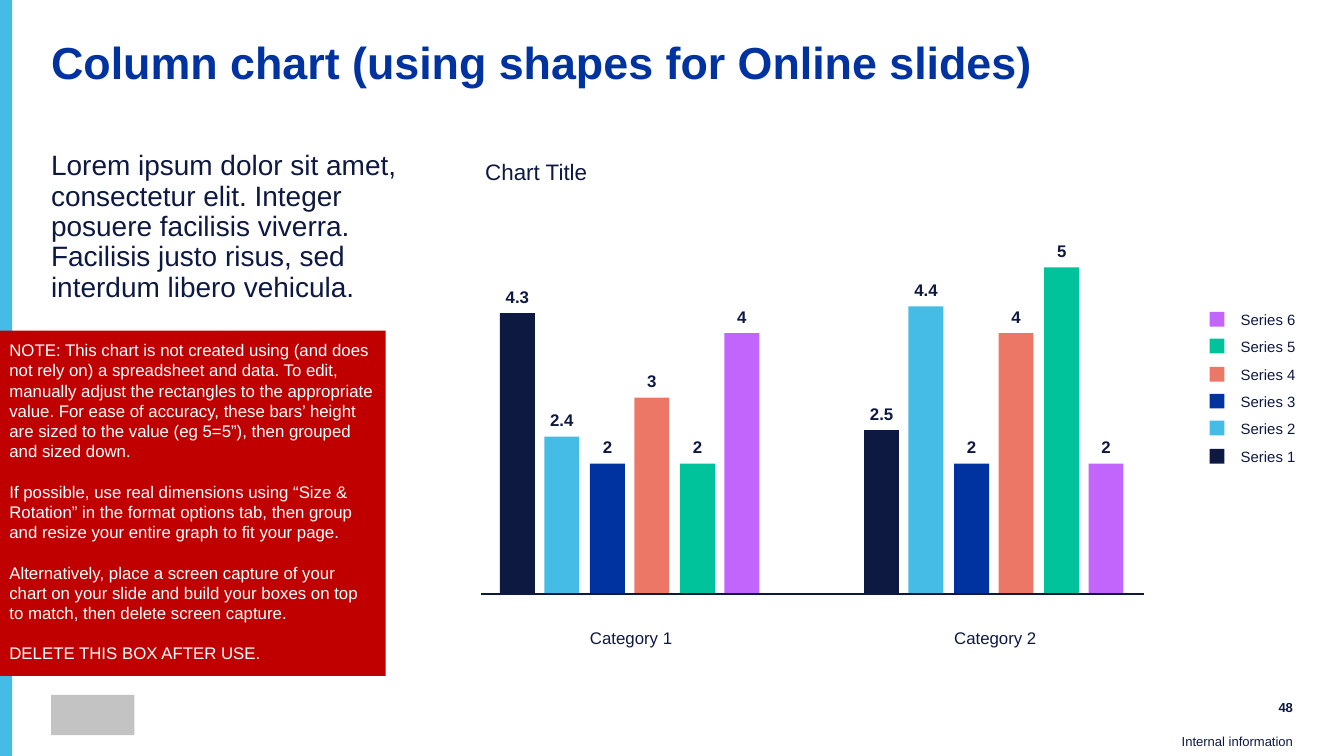
import pptx
import pptx.util
import pptx.dml.color
import pptx.enum.shapes
import pptx.enum.text
import pptx.oxml.ns
import lxml.etree

PX = 9144
HUES = {
    "navy": "0E1941", "sky": "45BCE5", "blue": "0033A0", "coral": "ED7766",
    "green": "00C39C", "violet": "C265FC", "red": "C00000", "gray": "C3C3C3",
    "white": "FFFFFF",
}
SERIES = ["navy", "sky", "blue", "coral", "green", "violet"]
GROUPS = {
    "Category 1": [4.3, 2.4, 2, 3, 2, 4],
    "Category 2": [2.5, 4.4, 2, 4, 5, 2],
}
NOTES = [
    "NOTE: This chart is not created using (and does not rely on) a spreadsheet and data. "
    "To edit, manually adjust the rectangles to the appropriate value. For ease of accuracy, "
    "these bars’ height are sized to the value (eg 5=5”), then grouped and sized down.",
    "If possible, use real dimensions using “Size & Rotation” in the format options tab, "
    "then group and resize your entire graph to fit your page.",
    "Alternatively, place a screen capture of your chart on your slide and build your boxes "
    "on top to match, then delete screen capture.",
    "DELETE THIS BOX AFTER USE.",
]
ALIGN = pptx.enum.text.PP_ALIGN
ANCHOR = pptx.enum.text.MSO_ANCHOR


def color(name):
    return pptx.dml.color.RGBColor.from_string(HUES[name])


def scale(*sizes):
    return [pptx.util.Emu(round(size * PX)) for size in sizes]


def apply(item, values):
    for key, value in values.items():
        setattr(item, key, value)


def write(shape, lines, size, hue="navy", bold=False, pad=(0, 0, 0, 0),
          anchor=ANCHOR.TOP, para=None):
    frame = shape.text_frame
    sides = ["margin_left", "margin_top", "margin_right", "margin_bottom"]
    apply(frame, dict(zip(sides, scale(*pad)), word_wrap=True, vertical_anchor=anchor))
    for rank, line in enumerate(lines):
        part = frame.paragraphs[0] if rank == 0 else frame.add_paragraph()
        apply(part, {"alignment": ALIGN.LEFT, **(para or {})})
        if rank:
            part.space_before = pptx.util.Pt(10.8)
        run = part.add_run()
        run.text = line
        apply(run.font, {"name": "Arial", "size": pptx.util.Pt(size), "bold": bold})
        run.font.color.rgb = color(hue)


def text(slide, box, line, size, **style):
    write(slide.shapes.add_textbox(*scale(*box)), [line], size, **style)


def block(slide, box, hue):
    shape = slide.shapes.add_shape(pptx.enum.shapes.MSO_SHAPE.RECTANGLE, *scale(*box))
    shape.shadow.inherit = False
    shape.fill.solid()
    shape.fill.fore_color.rgb = color(hue)
    shape.line.fill.background()
    return shape


def frame(slide, box):
    left, top, width, height = box
    right = left + width - 38
    block(slide, (left, top, 9, height), "sky")
    block(slide, (left + 38, top + 517, 62, 30), "gray")
    text(slide, (right - 59, top + 517, 59, 18), "48", 7, bold=True,
         anchor=ANCHOR.MIDDLE, para={"alignment": ALIGN.RIGHT})
    text(slide, (right - 90, top + 546, 90, 16), "Internal information", 7,
         pad=(0, 0, 0, 5), anchor=ANCHOR.BOTTOM, para={"alignment": ALIGN.RIGHT})


def copy(slide, box):
    left, top, width, height = box
    tight = {"line_spacing": 0.9}
    text(slide, (left, top, width, 49), "Column chart (using shapes for Online slides)",
         24, hue="blue", bold=True, para=tight)
    text(slide, (left, top + 83, 285, height - 83),
         "Lorem ipsum dolor sit amet, consectetur elit. Integer posuere facilisis viverra. "
         "Facilisis justo risus, sed interdum libero vehicula.", 15, para=tight)


def legend(slide, box):
    left, top, width, height = box
    step = height / len(SERIES)
    for rank, hue in enumerate(reversed(SERIES)):
        row = top + round(rank * step)
        block(slide, (left, row, 11, 11), hue)
        text(slide, (left + 19, row, width - 19, 11), f"Series {len(SERIES) - rank}", 8,
             pad=(4, 0, 4, 0), anchor=ANCHOR.MIDDLE)


def chart(slide, box):
    left, top, width, height = box
    base = top + height - 44
    center = {"alignment": ALIGN.CENTER}
    text(slide, (left, top, 162, 28), "Chart Title", 12, pad=(4, 4, 4, 4))
    for group, (name, values) in enumerate(GROUPS.items()):
        start = left + 15 + group * 271
        for rank, (value, hue) in enumerate(zip(values, SERIES)):
            x = start + round(rank * 33.4)
            tall = round(value * 48.6)
            block(slide, (x, base - tall, 26, tall), hue)
            text(slide, (x, base - tall - 20, 26, 15), str(value), 9, bold=True,
                 pad=(4, 0, 4, 0), anchor=ANCHOR.MIDDLE, para=center)
        text(slide, (start + 2, base + 21, 191, 23), name, 9, pad=(4, 4, 4, 4),
             anchor=ANCHOR.MIDDLE, para=center)
    axis = slide.shapes.add_connector(
        pptx.enum.shapes.MSO_CONNECTOR.STRAIGHT, *scale(left + 1, base, left + width, base))
    axis.line.color.rgb = color("navy")
    axis.line.width = pptx.util.Pt(1.5)
    lxml.etree.SubElement(axis._element.spPr, pptx.oxml.ns.qn("a:effectLst"))


def note(slide, box):
    write(block(slide, box, "red"), NOTES, 9, hue="white", pad=(7, 7, 7, 7))


def main():
    deck = pptx.Presentation()
    apply(deck, dict(zip(["slide_width", "slide_height"], scale(1000, 562.5))))
    slide = deck.slides.add_slide(deck.slide_layouts[6])
    frame(slide, (0, 0, 1000, 562.5))
    copy(slide, (38, 30, 925, 473))
    legend(slide, (900, 232, 70, 122))
    chart(slide, (357, 114, 494, 372))
    note(slide, (0, 246, 287, 257))
    deck.save("out.pptx")


if __name__ == "__main__":
    main()
